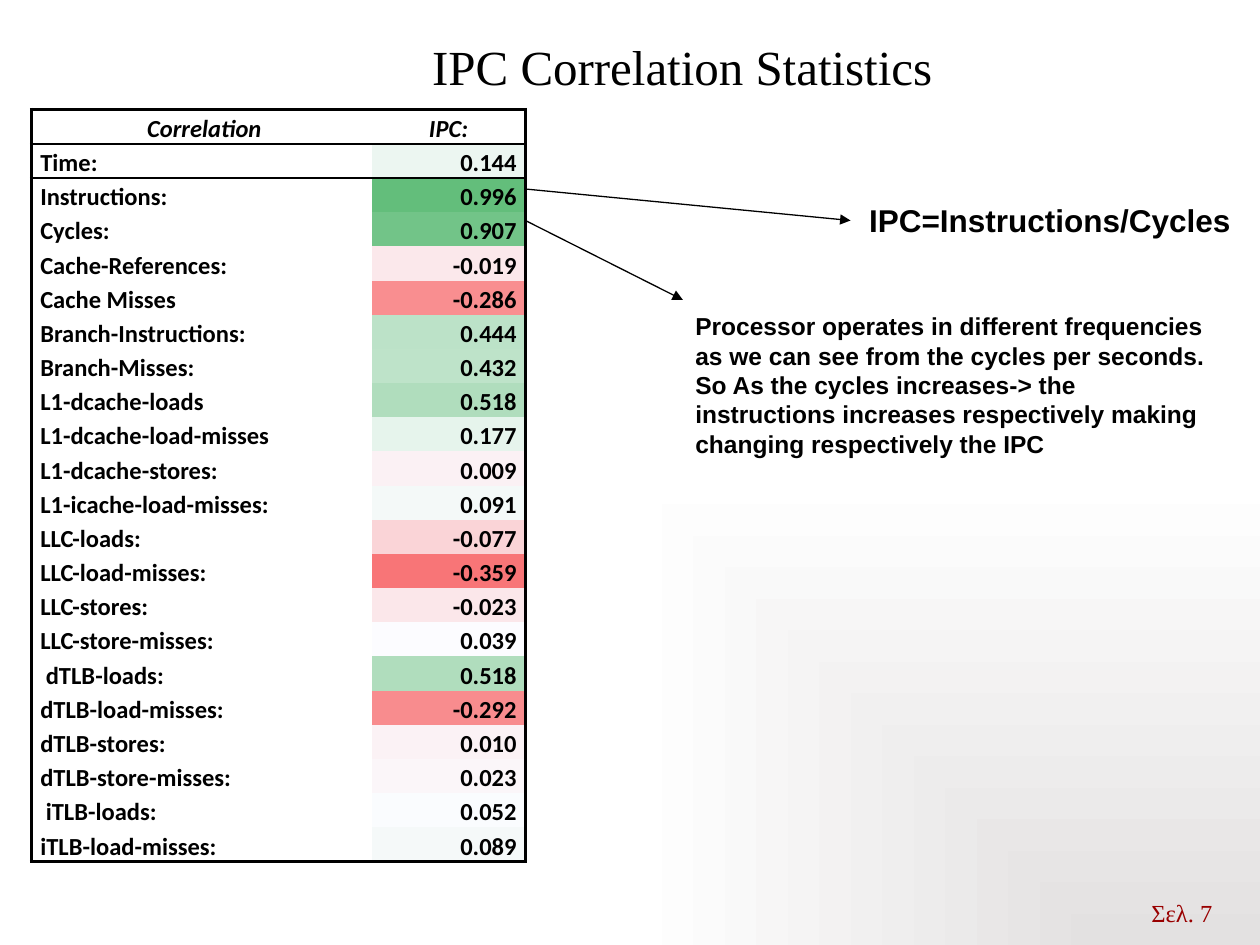
from dataclasses import dataclass

from lxml.etree import SubElement
from pptx import Presentation
from pptx.dml.color import RGBColor
from pptx.enum.shapes import MSO_CONNECTOR
from pptx.enum.text import MSO_ANCHOR, PP_ALIGN
from pptx.oxml import parse_xml
from pptx.oxml.ns import nsdecls, qn
from pptx.util import Inches, Pt


@dataclass(frozen=True)
class Theme:
    ink: str = "000000"
    page_number: str = "990000"
    glow: str = "E3E1E1"
    paper: str = "FFFFFF"
    serif: str = "Times New Roman"
    sans: str = "Arial"
    table_font: str = "Calibri"
    title_size: int = 28
    formula_size: int = 18
    body_size: int = 14
    frame_width: float = 2.25
    header_rule: float = 1
    arrow_width: float = 0.75


THEME = Theme()
NO_GRID_STYLE = "{2D5ABB26-0587-4C30-8999-92F81FD0307C}"

HEADINGS = (" Correlation", "IPC:")
CORRELATIONS = [
    ("Time:", "0.144", "ECF6F1"),
    ("Instructions:", "0.996", "63BE7B"),
    ("Cycles:", "0.907", "72C488"),
    ("Cache-References:", "-0.019", "FBE8EB"),
    ("Cache Misses", "-0.286", "F98E90"),
    ("Branch-Instructions:", "0.444", "BCE2C8"),
    ("Branch-Misses:", "0.432", "BEE3C9"),
    ("L1-dcache-loads", "0.518", "B0DDBD"),
    ("L1-dcache-load-misses", "0.177", "E6F4EC"),
    ("L1-dcache-stores:", "0.009", "FBF1F4"),
    ("L1-icache-load-misses:", "0.091", "F4F9F8"),
    ("LLC-loads:", "-0.077", "FAD4D7"),
    ("LLC-load-misses:", "-0.359", "F87577"),
    ("LLC-stores:", "-0.023", "FBE7EA"),
    ("LLC-store-misses:", "0.039", "FCFCFF"),
    (" dTLB-loads:", "0.518", "B0DDBD"),
    ("dTLB-load-misses:", "-0.292", "F88C8E"),
    ("dTLB-stores:", "0.010", "FBF2F5"),
    ("dTLB-store-misses:", "0.023", "FBF6F9"),
    (" iTLB-loads:", "0.052", "FAFCFE"),
    ("iTLB-load-misses:", "0.089", "F5F9F9"),
]
EXPLANATION = (
    "Processor operates in different frequencies as we can see from the cycles "
    "per seconds. So As the cycles increases-> the instructions increases "
    "respectively making changing respectively the IPC"
)


def set_font(paragraph, face, size, color=THEME.ink, bold=False, italic=False):
    font = paragraph.font
    font.name, font.size = face, Pt(size)
    font.bold, font.italic = bold, italic
    font.color.rgb = RGBColor.from_string(color)


def paint_background(slide):
    slide.background.fill.gradient()
    gradient = slide.element.xpath(".//p:bgPr/a:gradFill")[0]
    gradient.getparent().replace(gradient, parse_xml(
        f'<a:gradFill {nsdecls("a")} rotWithShape="1"><a:gsLst>'
        f'<a:gs pos="0"><a:srgbClr val="{THEME.glow}"/></a:gs>'
        f'<a:gs pos="100000"><a:srgbClr val="{THEME.paper}"/></a:gs></a:gsLst>'
        '<a:path path="rect"><a:fillToRect l="100000" t="100000"/></a:path>'
        '</a:gradFill>'
    ))


def add_text(slide, text, box, face, size, align=PP_ALIGN.LEFT,
             anchor=MSO_ANCHOR.TOP, **style):
    frame = slide.shapes.add_textbox(*map(Inches, box)).text_frame
    frame.word_wrap = True
    frame.vertical_anchor = anchor
    paragraph = frame.paragraphs[0]
    paragraph.text = text
    paragraph.alignment = align
    set_font(paragraph, face, size, **style)


def add_arrow(slide, start, end):
    arrow = slide.shapes.add_connector(
        MSO_CONNECTOR.STRAIGHT, *map(Inches, start + end))
    arrow.line.width = Pt(THEME.arrow_width)
    arrow.line.color.rgb = RGBColor.from_string(THEME.ink)
    properties = arrow.element.spPr
    SubElement(properties.find(qn("a:ln")), qn("a:tailEnd"), type="triangle")
    SubElement(properties, qn("a:effectLst"))


def draw_border(cell, side, points):
    cell._tc.get_or_add_tcPr().append(parse_xml(
        f'<a:ln{side} {nsdecls("a")} w="{Pt(points)}"><a:solidFill>'
        f'<a:srgbClr val="{THEME.ink}"/></a:solidFill></a:ln{side}>'
    ))


def fill_cell(cell, text, align, borders, shade=None, italic=False):
    cell.margin_left = cell.margin_right = Inches(0.07)
    cell.margin_top = cell.margin_bottom = 0
    cell.vertical_anchor = MSO_ANCHOR.BOTTOM
    paragraph = cell.text_frame.paragraphs[0]
    paragraph.text = text
    paragraph.alignment = align
    paragraph.line_spacing = 1.07
    set_font(paragraph, THEME.table_font, THEME.body_size, bold=True, italic=italic)
    for side, points in borders.items():
        draw_border(cell, side, points)
    if shade:
        cell.fill.solid()
        cell.fill.fore_color.rgb = RGBColor.from_string(shade)
    else:
        cell.fill.background()


def add_correlation_table(slide):
    row_count = len(CORRELATIONS) + 1
    holder = slide.shapes.add_table(
        row_count, 2, Inches(0.25), Inches(0.87), Inches(3.92), Inches(5.97))
    holder.element.xpath(".//a:tableStyleId")[0].text = NO_GRID_STYLE
    table = holder.table
    table.first_row = table.horz_banding = False
    for column, width in zip(table.columns, (2.7, 1.22)):
        column.width = Inches(width)

    rows = [(*HEADINGS, None), *CORRELATIONS]
    for index, (label, value, shade) in enumerate(rows):
        header = index == 0
        edges = {}
        if header:
            edges = {"T": THEME.frame_width, "B": THEME.header_rule}
        elif index == 1:
            edges = {"T": THEME.header_rule}
        elif index == row_count - 1:
            edges = {"B": THEME.frame_width}
        label_align = PP_ALIGN.CENTER if header else PP_ALIGN.LEFT
        value_align = PP_ALIGN.CENTER if header else PP_ALIGN.RIGHT
        fill_cell(table.cell(index, 0), label, label_align,
                  {"L": THEME.frame_width, **edges}, italic=header)
        fill_cell(table.cell(index, 1), value, value_align,
                  {"R": THEME.frame_width, **edges}, shade, italic=header)


def main():
    deck = Presentation()
    deck.slide_width, deck.slide_height = Inches(10), Inches(7.5)
    slide = deck.slides.add_slide(deck.slide_layouts[6])
    paint_background(slide)
    add_text(slide, "Σελ. 7", (8.92, 7.08, 0.92, 0.33), THEME.serif,
             THEME.body_size, PP_ALIGN.CENTER, color=THEME.page_number)
    add_correlation_table(slide)
    add_text(slide, "IPC Correlation Statistics", (0.58, 0.17, 9.67, 0.7),
             THEME.serif, THEME.title_size, PP_ALIGN.CENTER, MSO_ANCHOR.MIDDLE)
    add_arrow(slide, (4.17, 1.5), (6.75, 1.75))
    add_text(slide, "IPC=Instructions/Cycles", (6.8, 1.55, 3.5, 0.4),
             THEME.sans, THEME.formula_size, bold=True)
    add_arrow(slide, (4.17, 1.75), (5.42, 2.38))
    add_text(slide, EXPLANATION, (5.42, 2.42, 4.25, 1.28),
             THEME.sans, THEME.body_size, bold=True)
    deck.save("out.pptx")


if __name__ == "__main__":
    main()
